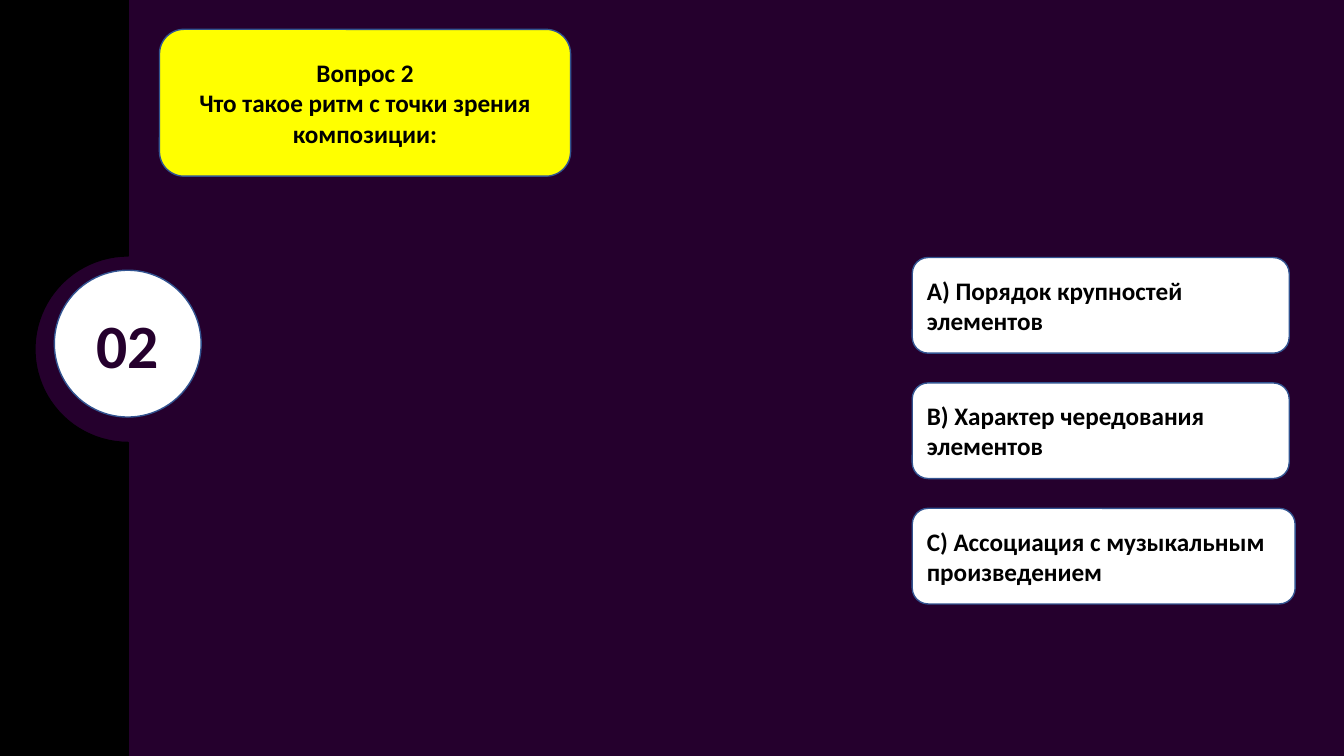
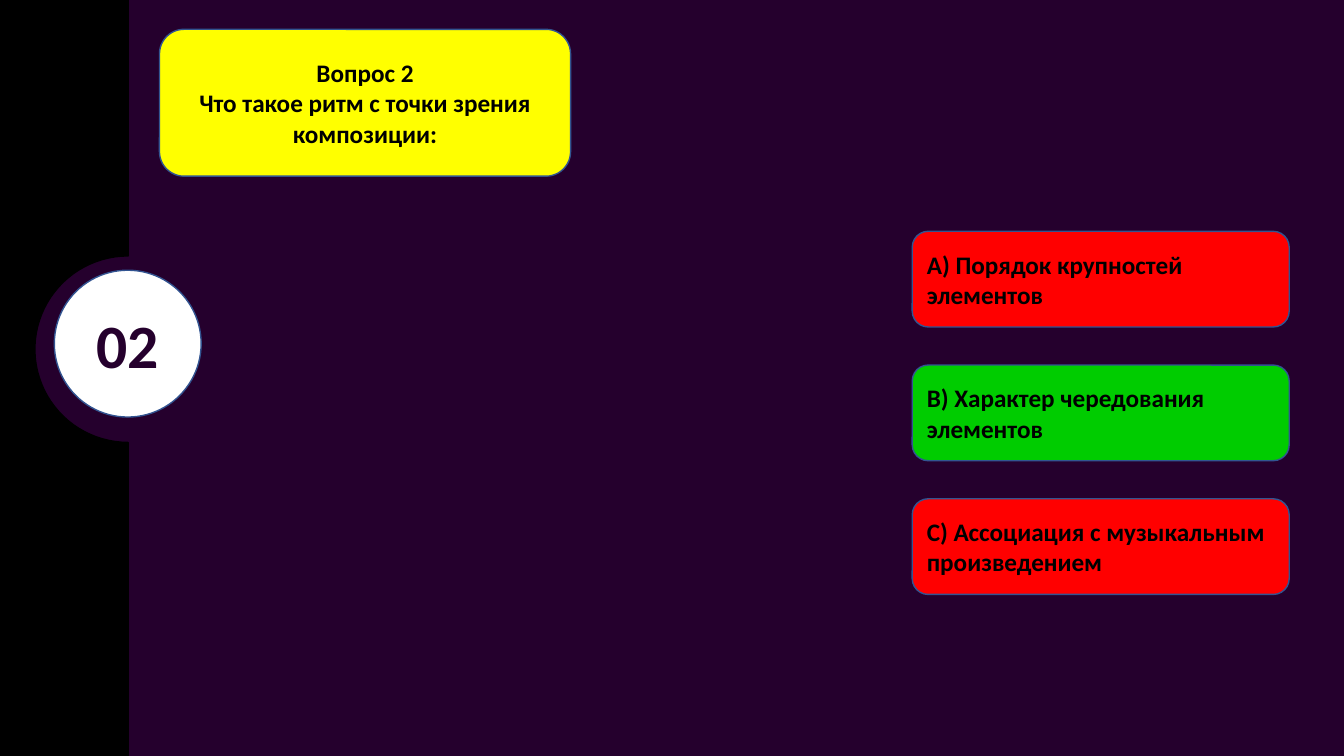
import math

from pptx import Presentation
from pptx import util as u
from pptx.dml.color import RGBColor
from pptx.enum import shapes, text

PLUM = RGBColor(0x25, 0x00, 0x2D)
BLACK = RGBColor(0x00, 0x00, 0x00)
WHITE = RGBColor(0xFF, 0xFF, 0xFF)
YELLOW = RGBColor(0xFF, 0xFF, 0x00)
RED = RGBColor(0xFF, 0x00, 0x00)
GREEN = RGBColor(0x00, 0xCC, 0x00)
EDGE = RGBColor(0x32, 0x54, 0x91)
FONT = "Calibri"
WIDE, HIGH = 33.87, 19.05

ROUND = shapes.MSO_SHAPE.ROUNDED_RECTANGLE
OVAL = shapes.MSO_SHAPE.OVAL
LEFT = text.PP_ALIGN.LEFT
CENTER = text.PP_ALIGN.CENTER

TITLE = ["Вопрос 2", "Что такое ритм с точки зрения композиции:"]
CHOICES = [
    "A) Порядок крупностей элементов",
    "B) Характер чередования элементов",
    "C) Ассоциация с музыкальным произведением",
]


def paint(shape, fill, edge):
    shape.shadow.inherit = False
    shape.fill.solid()
    shape.fill.fore_color.rgb = fill
    shape.line.color.rgb = edge
    shape.line.width = u.Pt(1)


def add_label(slide, kind, box, lines, fill, align=CENTER, size=18, color=BLACK):
    shape = slide.shapes.add_shape(kind, *map(u.Cm, box))
    paint(shape, fill, EDGE)
    frame = shape.text_frame
    frame.word_wrap = True
    frame.vertical_anchor = text.MSO_ANCHOR.MIDDLE
    frame.text = "\n".join(lines)
    for para in frame.paragraphs:
        para.alignment = align
        font = para.font
        font.name, font.size, font.bold = FONT, u.Pt(size), True
        font.color.rgb = color


def add_band(slide, box, notch, radius):
    left, top, width, height = box
    right, base = left + width, top + height
    arc = []
    for angle in range(0, 181, 4):
        turn = math.radians(angle)
        arc.append((right - radius * math.sin(turn),
                    top + notch - radius * math.cos(turn)))
    points = [(right, top), *arc, (right, base), (left, base)]
    path = slide.shapes.build_freeform(u.Cm(left), u.Cm(top))
    path.add_line_segments([(u.Cm(x), u.Cm(y)) for x, y in points])
    paint(path.convert_to_shape(), BLACK, BLACK)


def add_list(slide, box, step, fills, widths):
    left, top, height = box
    for row, (choice, fill, width) in enumerate(zip(CHOICES, fills, widths)):
        spot = (left, top + row * step, width, height)
        add_label(slide, ROUND, spot, [choice], fill, LEFT)


def add_quiz(deck, top, step, fills, widths):
    slide = deck.slides.add_slide(deck.slide_layouts[6])
    back = slide.background.fill
    back.solid()
    back.fore_color.rgb = PLUM
    add_band(slide, (0, 0, 3.23, HIGH), 8.8, 2.35)
    add_label(slide, OVAL, (1.37, 6.81, 3.7, 3.7), ["02"], WHITE,
              size=44, color=PLUM)
    add_label(slide, ROUND, (4.02, 0.74, 10.36, 3.7), TITLE, YELLOW)
    add_list(slide, (22.99, top, 2.41), step, fills, widths)


def main():
    deck = Presentation()
    deck.slide_width, deck.slide_height = u.Cm(WIDE), u.Cm(HIGH)
    add_quiz(deck, 6.49, 3.16, [WHITE] * 3, [9.5, 9.5, 9.65])
    add_quiz(deck, 5.83, 3.37, [RED, GREEN, RED], [9.5] * 3)
    deck.save("out.pptx")


if __name__ == "__main__":
    main()
